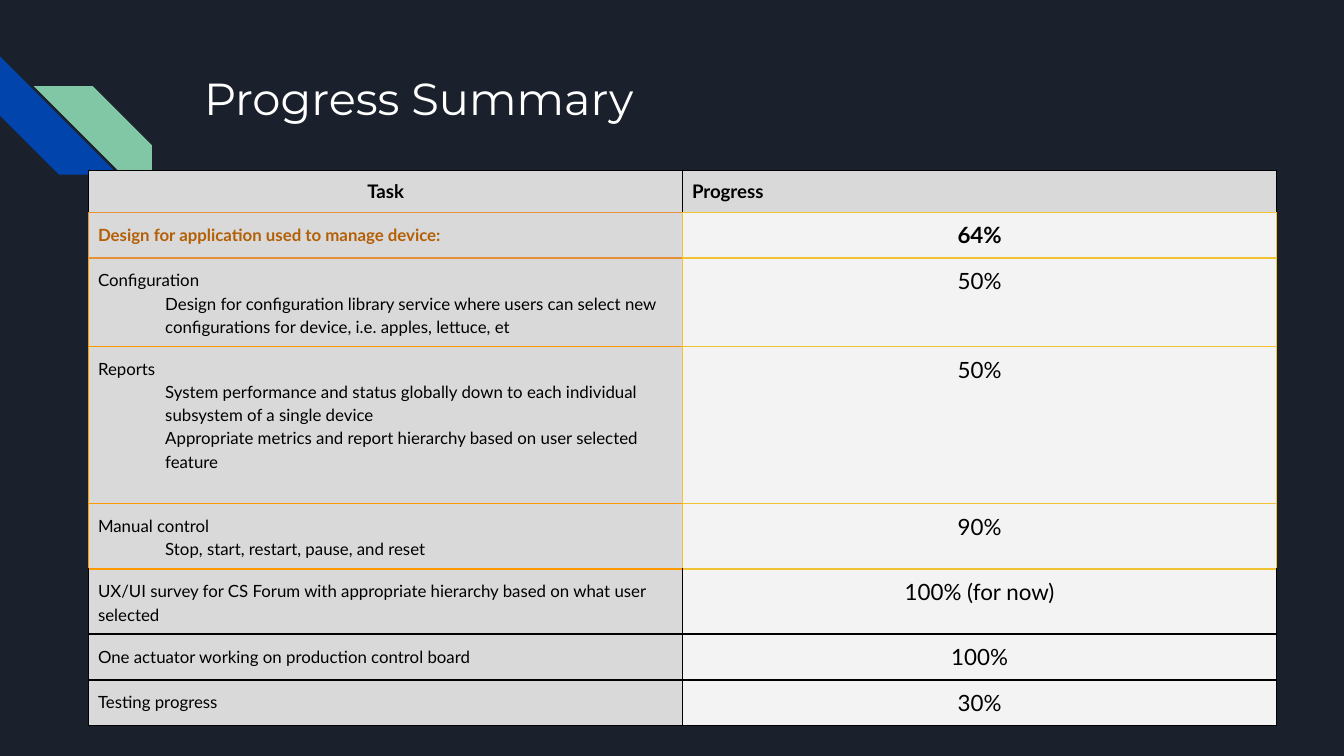
from lxml import etree
from pptx import Presentation
from pptx.dml.color import RGBColor
from pptx.enum.shapes import MSO_SHAPE
from pptx.enum.text import MSO_ANCHOR, PP_ALIGN
from pptx.oxml.ns import qn
from pptx.util import Inches, Pt

STRIPE = MSO_SHAPE.DIAGONAL_STRIPE
LEFT, CENTER = PP_ALIGN.LEFT, PP_ALIGN.CENTER
TOP = MSO_ANCHOR.TOP

THEME = {
    "title_font": "Montserrat", "body_font": "Lato",
    "title_size": 24, "header_size": 10, "task_size": 9, "progress_size": 12,
    "background": "1B212C", "white": "FFFFFF", "black": "000000",
    "blue": "0145AC", "green": "82C7A5", "heading": "B45F06",
    "task_fill": "D9D9D9", "progress_fill": "F3F3F3",
    "copper": "E69138", "orange": "FF9900", "yellow": "F1C232",
}

TITLE = "Progress Summary"
HEADER = ("Task", "Progress")
TASKS = [
    ("Design for application used to manage device:", [], "64%"),
    ("Configuration",
     ["Design for configuration library service where users can select new "
      "configurations for device, i.e. apples, lettuce, et"], "50%"),
    ("Reports",
     ["System performance and status globally down to each individual "
      "subsystem of a single device",
      "Appropriate metrics and report hierarchy based on user selected feature"], "50%"),
    ("Manual control", ["Stop, start, restart, pause, and reset"], "90%"),
    ("UX/UI survey for CS Forum with appropriate hierarchy based on what user selected",
     [], "100% (for now)"),
    ("One actuator working on production control board", [], "100%"),
    ("Testing progress", [], "30%"),
]

SLIDE_WIDTH = 10
SLIDE_HEIGHT = SLIDE_WIDTH * 9 / 16
STRIPE_SIZE = 0.88
STRIPES = [(0, 0.42, "blue", 270, False), (0.25, 0.64, "green", 0, True)]
TITLE_BOX = (1.42, 0.43, 7.7, 1)
TABLE_LEFT, TABLE_TOP, COLUMN_WIDTH = 0.66, 1.27, 4.42
ROW_HEIGHTS = [0.31, 0.34, 0.65, 1.17, 0.48, 0.48, 0.34, 0.34]
CELL_MARGIN, SUBTASK_INDENT, TASK_SPACING = 0.07, 0.5, 1.15

HORIZONTAL_RULES = [
    ["black"] + ["copper"] * 2 + ["orange"] * 3 + ["black"] * 3,
    ["black"] + ["yellow"] * 5 + ["black"] * 3,
]
VERTICAL_RULES = [
    ["black", "copper"] + ["orange"] * 3 + ["black"] * 3,
    ["black"] + ["yellow"] * 4 + ["black"] * 3,
    ["black"] + ["yellow"] * 4 + ["black"] * 3,
]


def color(name):
    return RGBColor.from_string(THEME[name])


def style_paragraph(paragraph, font, size, color_name, bold=False, align=LEFT):
    paragraph.alignment = align
    for run in paragraph.runs:
        run.font.name = THEME[font]
        run.font.size = Pt(THEME[size])
        run.font.color.rgb = color(color_name)
        run.font.bold = bold


def add_stripe(slide, left, top, fill, rotation, mirrored):
    shape = slide.shapes.add_shape(
        STRIPE, *map(Inches, (left, top, STRIPE_SIZE, STRIPE_SIZE)))
    shape.shadow.inherit = False
    shape.fill.solid()
    shape.fill.fore_color.rgb = color(fill)
    shape.line.fill.background()
    shape.rotation = rotation
    if mirrored:
        shape._element.spPr.find(qn("a:xfrm")).set("flipH", "1")


def add_title(slide):
    shape = slide.shapes.add_textbox(*map(Inches, TITLE_BOX))
    frame = shape.text_frame
    frame.word_wrap = True
    frame.vertical_anchor = TOP
    frame.margin_left = frame.margin_right = Inches(0.1)
    frame.margin_top = frame.margin_bottom = Inches(0.1)
    frame.text = TITLE
    style_paragraph(frame.paragraphs[0], "title_font", "title_size", "white")


def set_borders(cell, row, column):
    edges = {
        "a:lnL": VERTICAL_RULES[column][row],
        "a:lnR": VERTICAL_RULES[column + 1][row],
        "a:lnT": HORIZONTAL_RULES[column][row],
        "a:lnB": HORIZONTAL_RULES[column][row + 1],
    }
    properties = cell._tc.get_or_add_tcPr()
    for tag, name in edges.items():
        line = etree.SubElement(properties, qn(tag), w=str(Pt(1)))
        fill = etree.SubElement(line, qn("a:solidFill"))
        etree.SubElement(fill, qn("a:srgbClr"), val=THEME[name])


def fill_cell(cell, row, column, text, fill):
    set_borders(cell, row, column)
    cell.fill.solid()
    cell.fill.fore_color.rgb = color(fill)
    cell.margin_left = cell.margin_right = Inches(CELL_MARGIN)
    cell.margin_top = cell.margin_bottom = Inches(CELL_MARGIN)
    cell.vertical_anchor = TOP
    cell.text_frame.text = text
    return cell.text_frame.paragraphs


def add_progress_table(slide):
    table = slide.shapes.add_table(
        len(ROW_HEIGHTS), len(HEADER), Inches(TABLE_LEFT), Inches(TABLE_TOP),
        Inches(COLUMN_WIDTH * len(HEADER)), Inches(sum(ROW_HEIGHTS))).table
    table.first_row = table.horz_banding = False
    for column in table.columns:
        column.width = Inches(COLUMN_WIDTH)
    for row, height in zip(table.rows, ROW_HEIGHTS):
        row.height = Inches(height)

    for column, (label, align) in enumerate(zip(HEADER, (CENTER, LEFT))):
        paragraphs = fill_cell(table.cell(0, column), 0, column, label, "task_fill")
        style_paragraph(paragraphs[0], "body_font", "header_size", "black", True, align)

    for row, (task, subtasks, progress) in enumerate(TASKS, start=1):
        overall = row == 1
        text = "\n".join([task, *subtasks])
        paragraphs = fill_cell(table.cell(row, 0), row, 0, text, "task_fill")
        for index, paragraph in enumerate(paragraphs):
            style_paragraph(paragraph, "body_font", "task_size",
                            "heading" if overall else "black", overall)
            paragraph.line_spacing = TASK_SPACING
            if index:
                paragraph._p.get_or_add_pPr().set("marL", str(Inches(SUBTASK_INDENT)))
        paragraphs = fill_cell(table.cell(row, 1), row, 1, progress, "progress_fill")
        style_paragraph(paragraphs[0], "body_font", "progress_size", "black", overall, CENTER)


def main():
    presentation = Presentation()
    presentation.slide_width = Inches(SLIDE_WIDTH)
    presentation.slide_height = Inches(SLIDE_HEIGHT)
    slide = presentation.slides.add_slide(presentation.slide_layouts[6])
    slide.background.fill.solid()
    slide.background.fill.fore_color.rgb = color("background")
    for stripe in STRIPES:
        add_stripe(slide, *stripe)
    add_title(slide)
    add_progress_table(slide)
    presentation.save("out.pptx")


if __name__ == "__main__":
    main()
